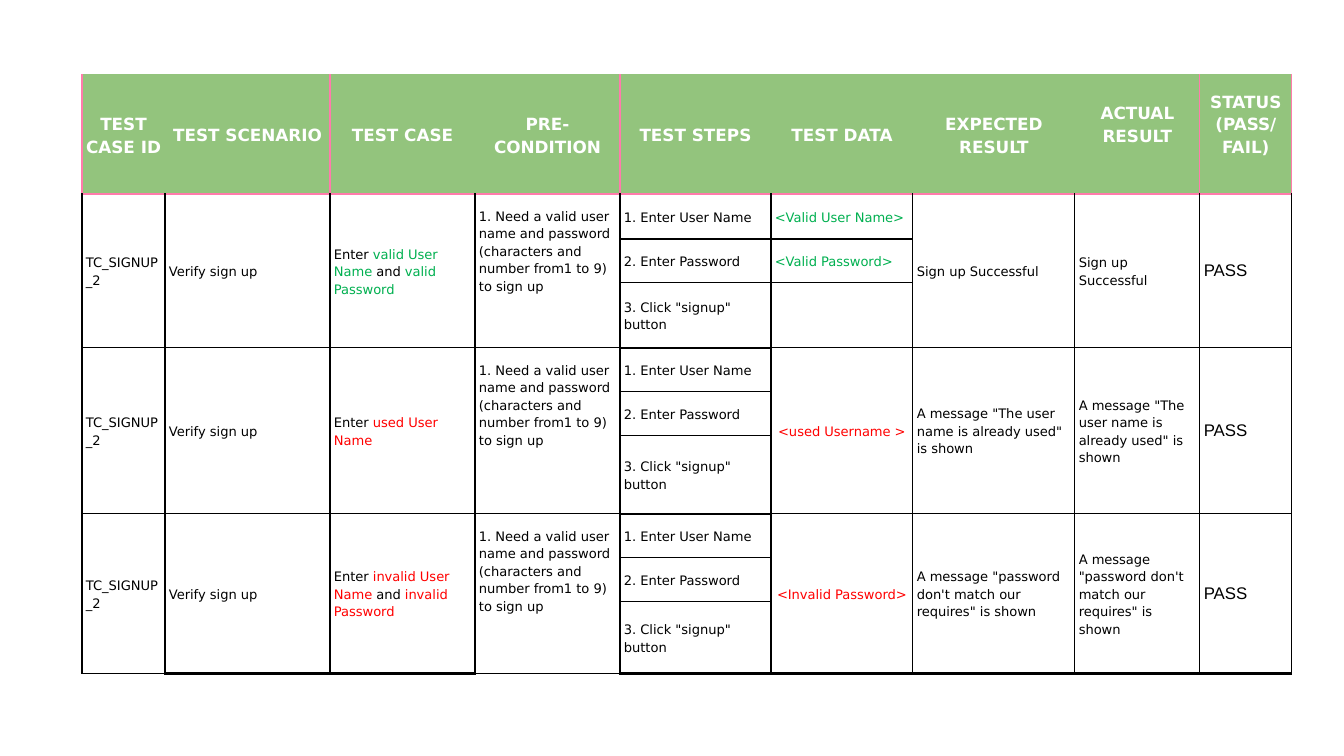
from dataclasses import dataclass

from lxml import etree
from pptx import Presentation
from pptx import util as u
from pptx.dml.color import RGBColor
from pptx.enum import text
from pptx.oxml import ns

SCALE = 9144000 / 1344  # EMU in one px
GREEN, PINK, BLACK, WHITE = "93C47D", "FF7BAB", "000000", "FFFFFF"
VALID, INVALID = "00B050", "FF0000"
COLUMNS = [83, 165, 145, 145, 151, 142, 162, 125, 92]
ROWS = [119, 45, 44, 65, 44, 44, 78, 44, 44, 72]
STEPS, DATA = 4, 5
STEPS_PER_CASE = 3
MIDDLE, TOP, BOTTOM = (text.MSO_ANCHOR.MIDDLE, text.MSO_ANCHOR.TOP,
                       text.MSO_ANCHOR.BOTTOM)
CENTER, LEFT = text.PP_ALIGN.CENTER, text.PP_ALIGN.LEFT


@dataclass(frozen=True)
class Span:
    words: str
    colour: str = BLACK


@dataclass(frozen=True)
class Style:
    fill: str = WHITE
    font: str = "DejaVu Sans"
    size: int = 7
    bold: bool = False
    align: int = LEFT
    anchor: int = MIDDLE
    spacing: float = 1.15
    bottom: int = 13


@dataclass(frozen=True)
class TestCase:
    action: list[Span]
    data: list[Span]
    expected: str


BODY = Style()
HEADER = Style(fill=GREEN, size=9, bold=True, align=CENTER)
RAISED_HEADER = Style(fill=GREEN, size=9, bold=True, align=CENTER, bottom=35)
CONDITION = Style(anchor=TOP)
SPLIT_DATA = Style(anchor=BOTTOM)
SHARED_DATA = Style(align=CENTER)
STATUS = Style(font="Arial", size=9, spacing=1.0)

HEADINGS = ["TEST CASE ID", "TEST SCENARIO", "TEST CASE", "PRE-CONDITION",
            "TEST STEPS", "TEST DATA", "EXPECTED\nRESULT", "ACTUAL\nRESULT",
            "STATUS (PASS/\nFAIL)"]
STEP_NAMES = ["1. Enter User Name", "2. Enter Password",
              '3. Click "signup" button']
PRE_CONDITION = ("1. Need a valid user name and password "
                 "(characters and number from1 to 9) to sign up")
CASES = [
    TestCase([Span("Enter "), Span("valid User Name", VALID), Span(" and "),
              Span("valid Password", VALID)],
             [Span("<Valid User Name>", VALID), Span("<Valid Password>", VALID),
              Span("")],
             "Sign up Successful"),
    TestCase([Span("Enter "), Span("used User Name", INVALID)],
             [Span("<used Username >", INVALID)],
             'A message "The user name is already used" is shown'),
    TestCase([Span("Enter "), Span("invalid User Name", INVALID), Span(" and "),
              Span("invalid Password", INVALID)],
             [Span("<Invalid Password>", INVALID)],
             'A message "password don\'t match our requires" is shown'),
]


def px(length: float) -> int:
    return round(length * SCALE)


def colour(value: str) -> RGBColor:
    return RGBColor.from_string(value)


def assign(target, values: dict) -> None:
    for name, value in values.items():
        setattr(target, name, value)


def edges(first: int, last: int, column: int) -> dict:
    """Border colour and width for each side of a block of rows."""
    thin, thick = (BLACK, 0.75), (BLACK, 1.5)
    pink, green = (PINK, 0.75), (GREEN, 0.75)
    if first == 0:
        pink_lines = (0, 2, 4, 8, 9)
        return {"lnL": pink if column in pink_lines else green,
                "lnR": pink if column + 1 in pink_lines else green,
                "lnT": green, "lnB": pink}
    case_start = first % STEPS_PER_CASE == 1
    case_end = last % STEPS_PER_CASE == 0
    top = pink if first == 1 else thick if case_start and column == STEPS else thin
    heavy_bottom = (case_end and column == STEPS) or (
        last == len(ROWS) - 1 and column not in (0, 3))
    return {"lnL": thin, "lnR": thin, "lnT": top,
            "lnB": thick if heavy_bottom else thin}


def draw_borders(cell, sides: dict) -> None:
    properties = cell._tc.get_or_add_tcPr()
    for side, (shade, width) in sides.items():
        line = etree.SubElement(properties, ns.qn(f"a:{side}"),
                                w=str(int(u.Pt(width))))
        fill = etree.SubElement(line, ns.qn("a:solidFill"))
        etree.SubElement(fill, ns.qn("a:srgbClr"), val=shade)


def write(cell, spans: list[Span], style: Style) -> None:
    assign(cell, {"margin_left": px(4), "margin_right": px(4),
                  "margin_top": px(13), "margin_bottom": px(style.bottom),
                  "vertical_anchor": style.anchor})
    para = cell.text_frame.paragraphs[0]
    for item in spans:
        for index, words in enumerate(item.words.split("\n")):
            if index:
                para = cell.text_frame.add_paragraph()
            assign(para, {"alignment": style.align, "line_spacing": style.spacing})
            span = para.add_run()
            span.text = words
            assign(span.font, {"name": style.font, "size": u.Pt(style.size),
                               "bold": style.bold})
            span.font.color.rgb = colour(item.colour)


def draw_cell(table, row: int, column: int, spans: list[Span],
              style: Style = BODY, height: int = 1) -> None:
    last = row + height - 1
    for index in range(row, last + 1):
        cell = table.cell(index, column)
        draw_borders(cell, edges(row, last, column))
        cell.fill.solid()
        cell.fill.fore_color.rgb = colour(style.fill)
    origin = table.cell(row, column)
    if height > 1:
        origin.merge(table.cell(last, column))
    if any(item.words for item in spans):
        write(origin, spans, style)


def draw_case(table, row: int, case: TestCase) -> None:
    result = [Span(case.expected)]
    shared = {
        0: ([Span("TC_SIGNUP_2")], BODY),
        1: ([Span("Verify sign up")], BODY),
        2: (case.action, BODY),
        3: ([Span(PRE_CONDITION)], CONDITION),
        6: (result, BODY),
        7: (result, BODY),
        8: ([Span("PASS")], STATUS),
    }
    for column, (spans, style) in shared.items():
        draw_cell(table, row, column, spans, style, STEPS_PER_CASE)
    for index, name in enumerate(STEP_NAMES):
        draw_cell(table, row + index, STEPS, [Span(name)])
    # Test data is either one value per step or one value for the whole case
    height = STEPS_PER_CASE // len(case.data)
    style = SPLIT_DATA if height == 1 else SHARED_DATA
    for index, item in enumerate(case.data):
        draw_cell(table, row + index, DATA, [item], style, height)


def main() -> None:
    deck = Presentation()
    assign(deck, {"slide_width": px(1344), "slide_height": px(756)})
    page = deck.slides.add_slide(deck.slide_layouts[6])

    # Table grid
    table = page.shapes.add_table(len(ROWS), len(COLUMNS), px(82), px(75),
                                  px(sum(COLUMNS)), px(sum(ROWS))).table
    assign(table, {"first_row": False, "horz_banding": False})
    for column, width in zip(table.columns, COLUMNS):
        column.width = px(width)
    for row, height in zip(table.rows, ROWS):
        row.height = px(height)

    # Header row; the last two headings sit a little higher
    for index, heading in enumerate(HEADINGS):
        style = RAISED_HEADER if index >= 7 else HEADER
        draw_cell(table, 0, index, [Span(heading, WHITE)], style)

    # Test cases
    for index, case in enumerate(CASES):
        draw_case(table, 1 + index * STEPS_PER_CASE, case)

    deck.save("out.pptx")


if __name__ == "__main__":
    main()
